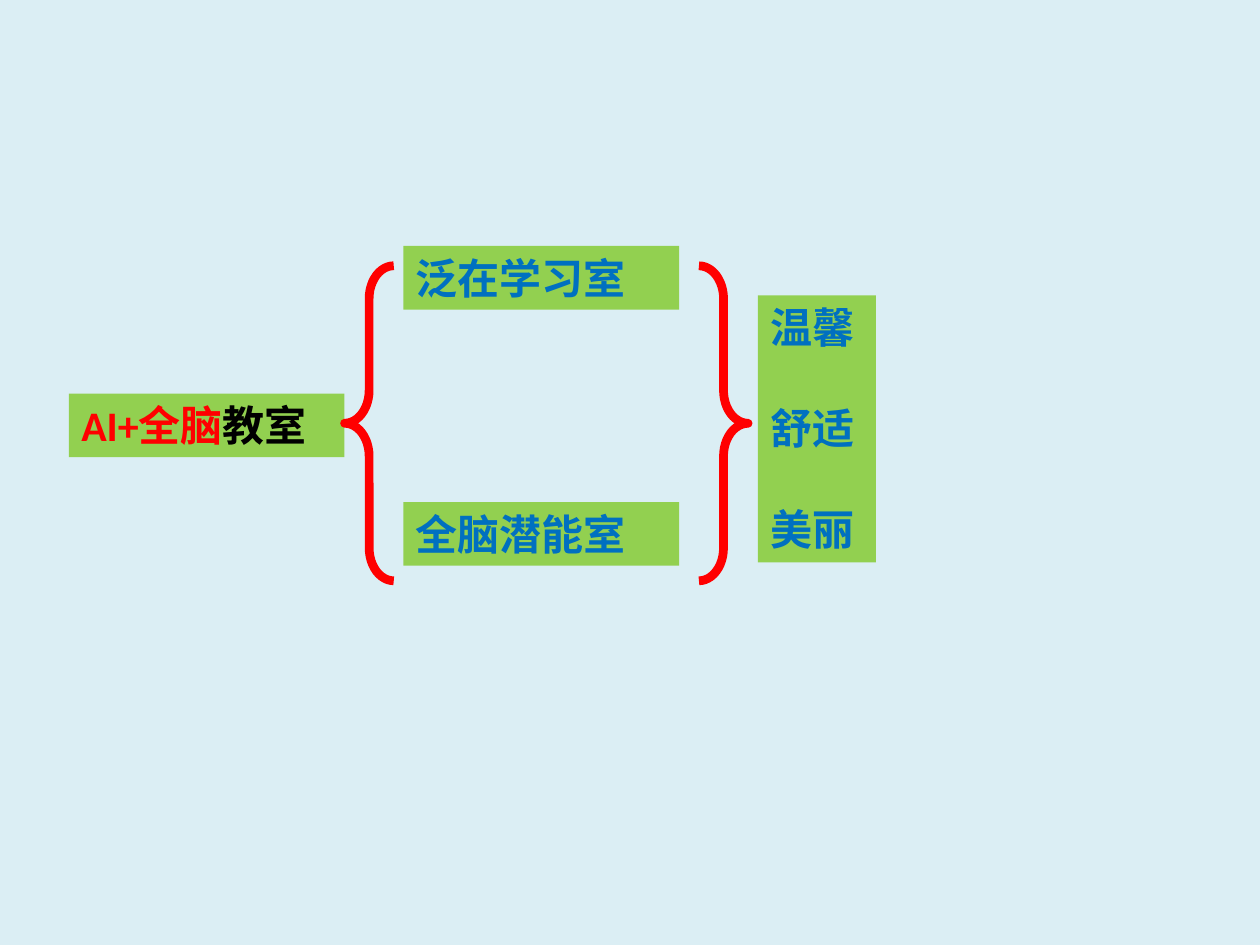
from pptx import Presentation
from pptx.dml.color import RGBColor
from pptx.enum.shapes import MSO_SHAPE
from pptx.enum.text import MSO_ANCHOR, MSO_AUTO_SIZE, PP_ALIGN
from pptx.util import Pt

PALE_BLUE = RGBColor(0xDB, 0xEE, 0xF4)
GREEN = RGBColor(0x92, 0xD0, 0x50)
RED = RGBColor(0xFF, 0x00, 0x00)
BLUE = RGBColor(0x00, 0x70, 0xC0)
BLACK = RGBColor(0x00, 0x00, 0x00)

LABEL_WIDTH, LABEL_HEIGHT = 157.5, 36.35
BRACE_TOP, BRACE_WIDTH, BRACE_HEIGHT = 151.9, 28.1, 180


def add_text(paragraph, text, *, color=BLUE, size=24, bold=True, font="Calibri"):
    run = paragraph.add_run()
    run.text = text
    run.font.name = font
    run.font.size = Pt(size)
    run.font.bold = bold
    run.font.color.rgb = color


def add_label(slide, left, top, lines, *, width=LABEL_WIDTH, height=LABEL_HEIGHT, gap=0):
    """Green box; each line is a list of (text, color) pieces."""
    label = slide.shapes.add_textbox(Pt(left), Pt(top), Pt(width), Pt(height))
    label.fill.solid()
    label.fill.fore_color.rgb = GREEN
    frame = label.text_frame
    frame.word_wrap = True
    frame.auto_size = MSO_AUTO_SIZE.SHAPE_TO_FIT_TEXT
    frame.vertical_anchor = MSO_ANCHOR.TOP
    for index, pieces in enumerate(lines):
        paragraph = frame.add_paragraph() if index else frame.paragraphs[0]
        paragraph.alignment = PP_ALIGN.LEFT
        if index:
            paragraph.space_before = Pt(gap)
        for text, color in pieces:
            add_text(paragraph, text, color=color)


def add_brace(slide, preset, left):
    brace = slide.shapes.add_shape(
        preset, Pt(left), Pt(BRACE_TOP), Pt(BRACE_WIDTH), Pt(BRACE_HEIGHT))
    brace.adjustments[0] = 0.67
    brace.shadow.inherit = False
    brace.fill.background()
    brace.line.color.rgb = RED
    brace.line.width = Pt(5)


def main():
    deck = Presentation()
    deck.slide_width, deck.slide_height = Pt(720), Pt(540)
    slide = deck.slides.add_slide(deck.slide_layouts[6])
    slide.background.fill.solid()
    slide.background.fill.fore_color.rgb = PALE_BLUE

    # Classroom
    add_label(slide, 39.4, 224.9, [[("AI+全脑", RED), ("教室", BLACK)]])

    # Its two rooms
    add_brace(slide, MSO_SHAPE.LEFT_BRACE, 196.9)
    for room, top in (("泛在学习室", 140.6), ("全脑潜能室", 286.9)):
        add_label(slide, 230.6, top, [[(room, BLUE)]])

    # Qualities they share
    add_brace(slide, MSO_SHAPE.RIGHT_BRACE, 399.4)
    qualities = [[(quality, BLUE)] for quality in ("温馨", "舒适", "美丽")]
    add_label(slide, 433.1, 168.75, qualities, width=67.5, height=152.65, gap=29)

    deck.save("out.pptx")


if __name__ == "__main__":
    main()
